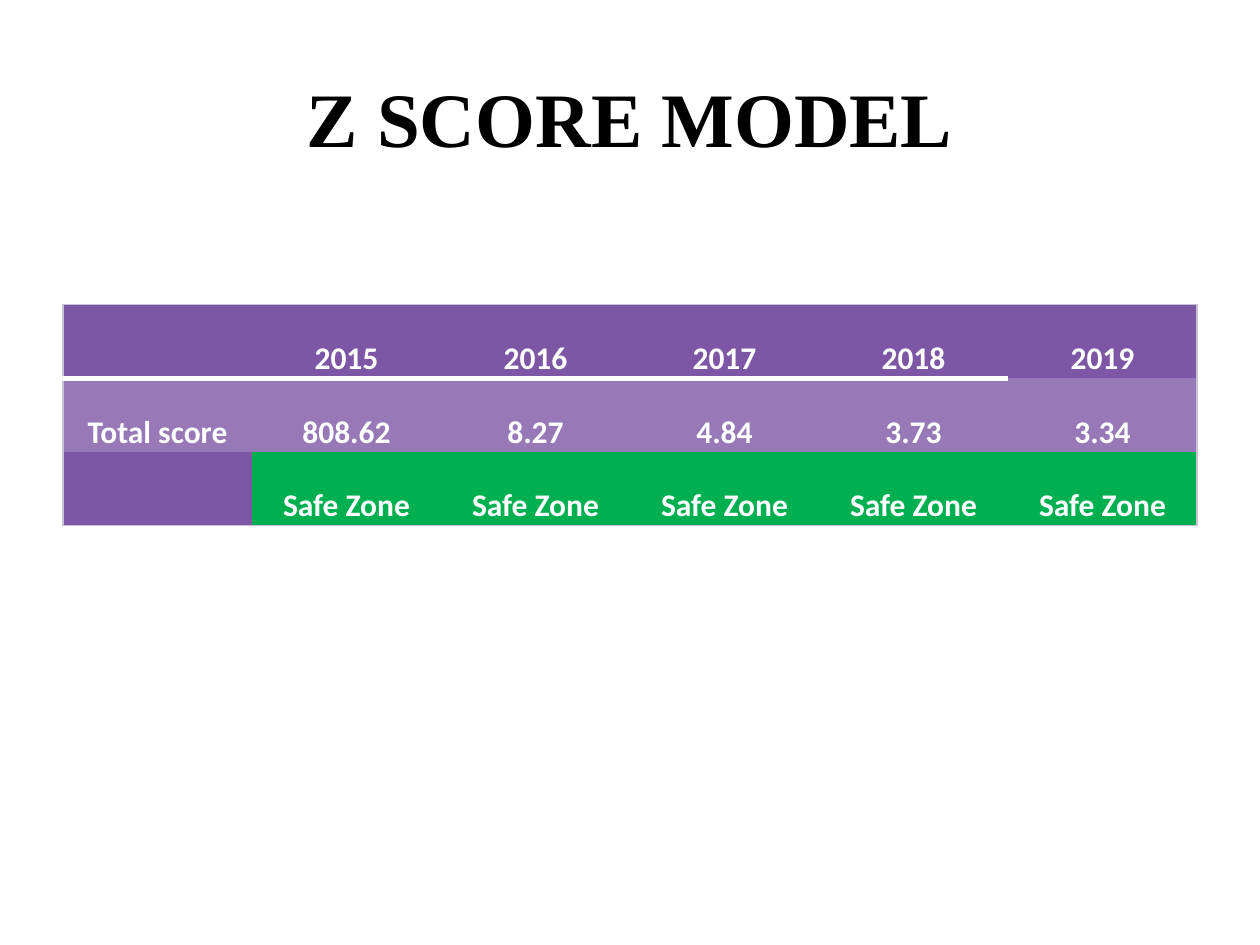
from lxml.etree import SubElement
from pptx import Presentation
from pptx.dml.color import RGBColor
from pptx.enum.text import MSO_ANCHOR as Anchor, PP_ALIGN as Align
from pptx.oxml.ns import qn
from pptx.util import Inches, Pt

COLORS = {"title": "000000", "text": "FFFFFF", "header": "7D57A5",
          "score": "9779B7", "safe": "00B050", "edge": "C8C1D3", "rule": "FFFFFF"}
NO_STYLE = "{2D5ABB26-0587-4C30-8999-92F81FD0307C}"
ROWS = [
    ["", "2015", "2016", "2017", "2018", "2019"],
    ["Total score", "808.62", "8.27", "4.84", "3.73", "3.34"],
    [""] + ["Safe Zone"] * 5,
]
ROW_FILLS = ["header", "score", "safe"]


def write_text(frame, text, size, font, color, spacing=1.0):
    paragraph = frame.paragraphs[0]
    paragraph.alignment = Align.CENTER
    paragraph.line_spacing = spacing
    paragraph.font.size = Pt(size)
    if text:
        run = paragraph.add_run()
        run.text = text
        run.font.name = font
        run.font.size = Pt(size)
        run.font.bold = True
        run.font.color.rgb = RGBColor.from_string(COLORS[color])


def add_border(cell, side, color, width):
    """Draw one cell edge; side is L, R, T or B, added in that order."""
    line = SubElement(cell._tc.get_or_add_tcPr(), qn(f"a:ln{side}"), w=str(Pt(width)))
    fill = SubElement(line, qn("a:solidFill"))
    SubElement(fill, qn("a:srgbClr"), val=COLORS[color])


presentation = Presentation()
presentation.slide_width, presentation.slide_height = Inches(10), Inches(7.5)
slide = presentation.slides.add_slide(presentation.slide_layouts[5])

title = slide.shapes.title
title.left, title.top = Inches(0.5), Inches(0.3)
title.width, title.height = Inches(9), Inches(1.25)
title.text_frame.vertical_anchor = Anchor.MIDDLE
write_text(title.text_frame, "Z SCORE MODEL", 44, "Times New Roman", "title")

last_row, last_column = len(ROWS) - 1, len(ROWS[0]) - 1
table = slide.shapes.add_table(len(ROWS), len(ROWS[0]), Inches(0.5), Inches(2.42),
                               Inches(9), Inches(1.75)).table
table._tbl.tblPr.find(qn("a:tableStyleId")).text = NO_STYLE

for row, values in enumerate(ROWS):
    for column, value in enumerate(values):
        cell = table.cell(row, column)
        cell.margin_left = cell.margin_right = Inches(0.07)
        cell.margin_top = cell.margin_bottom = 0
        cell.vertical_anchor = Anchor.BOTTOM
        write_text(cell.text_frame, value, 18, "Calibri", "text", spacing=1.15)

        if column == 0:
            add_border(cell, "L", "edge", 0.75)
        if column == last_column:
            add_border(cell, "R", "edge", 0.75)
        if row == 0:
            add_border(cell, "T", "edge", 0.75)
        if row == 0 and column < last_column:
            add_border(cell, "B", "rule", 3)
        if row == last_row:
            add_border(cell, "B", "edge", 0.75)

        fill_name = ROW_FILLS[row] if value else "header"
        cell.fill.solid()
        cell.fill.fore_color.rgb = RGBColor.from_string(COLORS[fill_name])

presentation.save("out.pptx")
